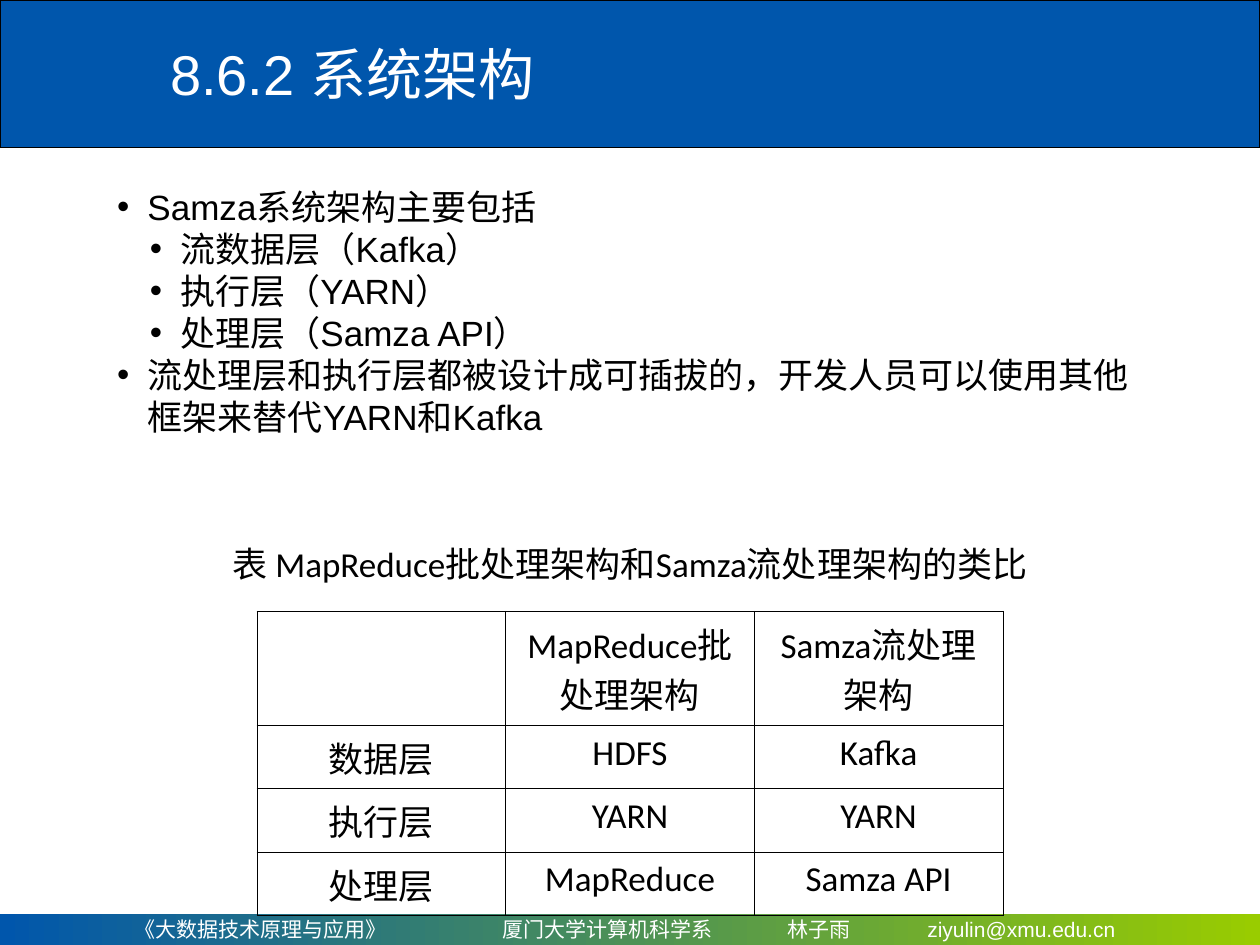
"""Build the slide on the Samza architecture and its MapReduce comparison."""
from dataclasses import dataclass

from lxml.etree import SubElement
from pptx import Presentation
from pptx.dml.color import RGBColor as RGB
from pptx.enum.shapes import MSO_SHAPE as Shape
from pptx.enum.text import MSO_ANCHOR as Anchor, MSO_AUTO_SIZE as AutoSize, PP_ALIGN as Align
from pptx.oxml.ns import qn
from pptx.util import Inches, Pt

WIDTH, HEIGHT = Inches(10), Inches(7.5)
BLUE, GREEN = RGB(0x00, 0x56, 0xAC), RGB(0x99, 0xCC, 0x00)
BLACK, WHITE = RGB(0, 0, 0), RGB(0xFF, 0xFF, 0xFF)
HANG = Inches(0.24)


@dataclass(frozen=True)
class Box:
    """A frame in percent of the slide's width and height."""
    x: float
    y: float
    w: float
    h: float

    def frame(self) -> tuple[int, int, int, int]:
        return (int(WIDTH * self.x / 100), int(HEIGHT * self.y / 100),
                int(WIDTH * self.w / 100), int(HEIGHT * self.h / 100))


@dataclass(frozen=True)
class Bullet:
    """A list entry with its level and left margin in inches."""
    text: str
    level: int = 0
    margin: float = 0.24


HEADER = Box(0, 0, 100, 15.6)
FOOTER = Box(0, 96.67, 100, 3.33)
TITLE = Box(12.5, 1.07, 87.5, 13.33)
BODY = Box(8.3, 18.93, 82.5, 28)
CAPTION = Box(10, 56.67, 80, 5.87)
TABLE = Box(20.4, 64.67, 59.2, 22.27)

BULLETS = [
    Bullet("Samza系统架构主要包括"),
    Bullet("流数据层（Kafka）", 1, 0.5),
    Bullet("执行层（YARN）", 1, 0.5),
    Bullet("处理层（Samza API）", 1, 0.5),
    Bullet("流处理层和执行层都被设计成可插拔的，开发人员可以使用其他框架来替代YARN和Kafka"),
]
ROWS = [
    ("", "MapReduce批处理架构", "Samza流处理架构"),
    ("数据层", "HDFS", "Kafka"),
    ("执行层", "YARN", "YARN"),
    ("处理层", "MapReduce", "Samza API"),
]
FOOTER_PARTS = ["《大数据技术原理与应用》", "厦门大学计算机科学系", "林子雨", "ziyulin@xmu.edu.cn"]
FOOTER_TABS = [2.92, 5.18, 6.29]


def write(p, text: str, *, size=20, font="Calibri", color=BLACK, align=Align.CENTER) -> None:
    """Put formatted text into a paragraph."""
    p.alignment = align
    p.font.size = Pt(size)
    if text:
        r = p.add_run()
        r.text = text
        r.font.size, r.font.name, r.font.color.rgb = Pt(size), font, color


def place(sp, box: Box) -> None:
    """Move a placeholder to its frame and to the front."""
    sp.left, sp.top, sp.width, sp.height = box.frame()
    sp.element.getparent().append(sp.element)


def add_band(s, box: Box):
    """Add a plain rectangle without shadow."""
    sp = s.shapes.add_shape(Shape.RECTANGLE, *box.frame())
    sp.shadow.inherit = False
    return sp


def add_header(s) -> None:
    """Draw the blue band behind the title."""
    sp = add_band(s, HEADER)
    sp.fill.solid()
    sp.fill.fore_color.rgb = BLUE
    sp.line.color.rgb, sp.line.width = BLACK, Pt(0.75)


def add_footer(s) -> None:
    """Draw the gradient footer with tabbed entries."""
    sp = add_band(s, FOOTER)
    sp.line.fill.background()
    sp.fill.gradient()
    sp.fill.gradient_angle = 0
    for stop, color, position in zip(sp.fill.gradient_stops, (BLUE, GREEN), (0, 1)):
        stop.color.rgb, stop.position = color, position
    tf = sp.text_frame
    tf.word_wrap, tf.vertical_anchor = True, Anchor.MIDDLE
    tf.margin_left, tf.margin_right = Inches(1.07), Inches(0.1)
    p = tf.paragraphs[0]
    tabs = SubElement(p._p.get_or_add_pPr(), qn("a:tabLst"))
    for pos in FOOTER_TABS:
        SubElement(tabs, qn("a:tab"), pos=str(Inches(pos)), algn="l")
    write(p, "\t".join(FOOTER_PARTS), size=12, font="Arial", color=WHITE, align=Align.LEFT)


def fill_title(sp) -> None:
    """Format the title placeholder."""
    place(sp, TITLE)
    tf = sp.text_frame
    tf.vertical_anchor, tf.auto_size = Anchor.MIDDLE, AutoSize.NONE
    write(tf.paragraphs[0], "8.6.2 系统架构", size=32, font="Arial", color=WHITE, align=Align.LEFT)


def fill_body(sp) -> None:
    """Fill the body placeholder with the bulleted list."""
    place(sp, BODY)
    tf = sp.text_frame
    tf.auto_size, tf.word_wrap = AutoSize.NONE, True
    for i, bullet in enumerate(BULLETS):
        p = tf.add_paragraph() if i else tf.paragraphs[0]
        p.level, p.space_before, p.line_spacing = bullet.level, Pt(0), Pt(24)
        pr = p._p.get_or_add_pPr()
        pr.set("marL", str(Inches(bullet.margin)))
        pr.set("indent", str(-HANG))
        bu_color = SubElement(pr, qn("a:buClr"))
        SubElement(bu_color, qn("a:srgbClr"), val=str(BLACK))
        SubElement(pr, qn("a:buFont"), typeface="Arial")
        SubElement(pr, qn("a:buChar"), char="•")
        write(p, bullet.text, font="Arial", align=Align.LEFT)


def add_caption(s) -> None:
    """Add the table's caption."""
    tf = s.shapes.add_textbox(*CAPTION.frame()).text_frame
    tf.word_wrap, tf.vertical_anchor = True, Anchor.MIDDLE
    write(tf.paragraphs[0], "表 MapReduce批处理架构和Samza流处理架构的类比")


def set_borders(cell) -> None:
    """Give a cell thin black borders on all sides."""
    pr = cell._tc.get_or_add_tcPr()
    for i, side in enumerate(("lnL", "lnR", "lnT", "lnB")):
        ln = pr.makeelement(qn(f"a:{side}"), {"w": str(Pt(0.45))})
        SubElement(SubElement(ln, qn("a:solidFill")), qn("a:srgbClr"), val=str(BLACK))
        pr.insert(i, ln)


def add_comparison(s) -> None:
    """Add the comparison table."""
    table = s.shapes.add_table(len(ROWS), len(ROWS[0]), *TABLE.frame()).table
    table.first_row = table.horz_banding = False
    unit = TABLE.frame()[3] // (len(ROWS) + 1)
    for i, (row, texts) in enumerate(zip(table.rows, ROWS)):
        row.height = unit if i else 2 * unit
        for cell, text in zip(row.cells, texts):
            cell.fill.background()
            cell.margin_left = cell.margin_right = Inches(0.08)
            set_borders(cell)
            write(cell.text_frame.paragraphs[0], text)


def main() -> None:
    """Assemble and save the slide."""
    prs = Presentation()
    prs.slide_width, prs.slide_height = WIDTH, HEIGHT
    s = prs.slides.add_slide(prs.slide_layouts[1])
    title, body = s.placeholders
    add_header(s)
    add_footer(s)
    fill_title(title)
    add_comparison(s)
    add_caption(s)
    fill_body(body)
    prs.save("out.pptx")


if __name__ == "__main__":
    main()
